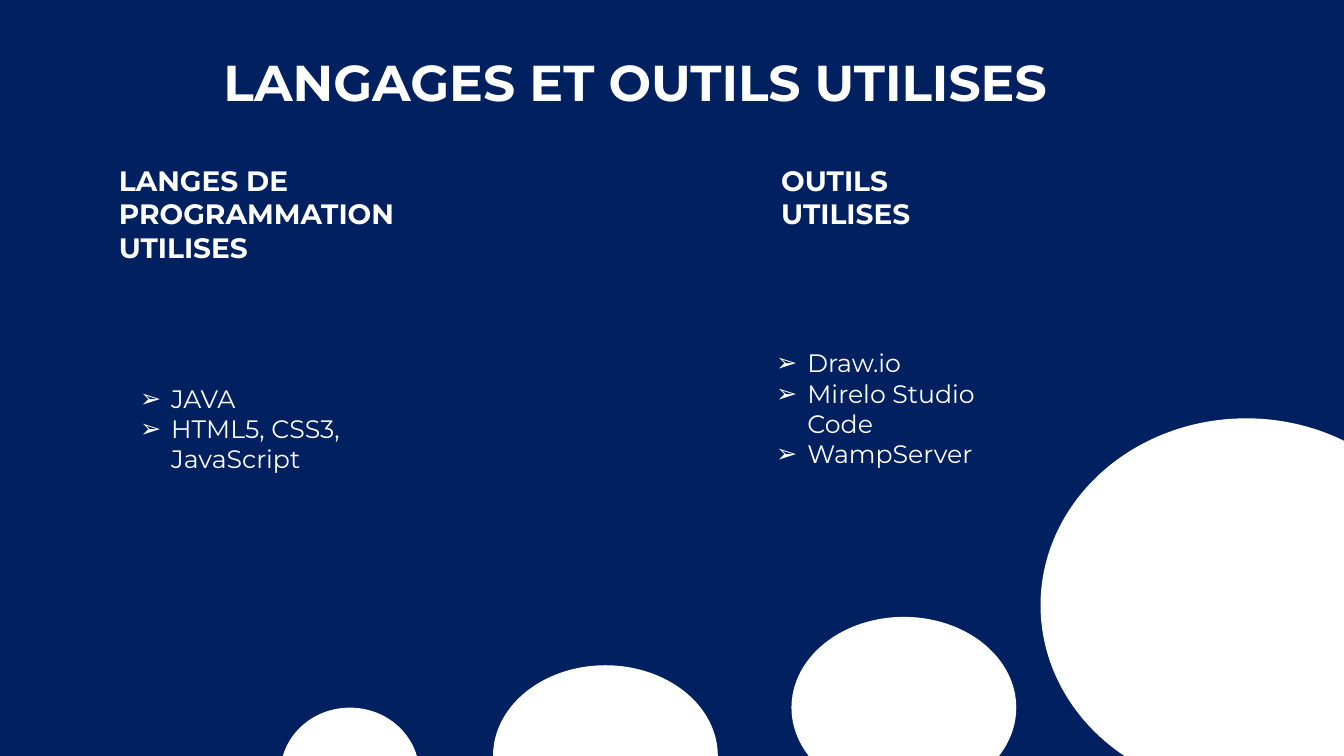
from typing import NamedTuple

from pptx import Presentation
from pptx.dml.color import RGBColor
from pptx.enum.shapes import MSO_SHAPE
from pptx.enum.text import MSO_AUTO_SIZE, PP_ALIGN
from pptx.oxml.ns import qn
from pptx.slide import Slide
from pptx.util import Emu, Pt
from lxml import etree

OVAL = MSO_SHAPE.OVAL
LEFT, CENTER = PP_ALIGN.LEFT, PP_ALIGN.CENTER
GROW = MSO_AUTO_SIZE.SHAPE_TO_FIT_TEXT
SCALE = 9144  # EMU per px, 100 px to the inch
FONT = "Montserrat"
NAVY, WHITE = "002060", "FFFFFF"
INDENT = 31


class Box(NamedTuple):
    left: int
    top: int
    width: int
    height: int


class Column(NamedTuple):
    head: str
    head_box: Box
    items: list[str]
    list_box: Box


BUBBLES = [
    Box(1032, 415, 408, 371),
    Box(785, 612, 223, 180),
    Box(489, 660, 223, 180),
    Box(278, 702, 138, 131),
]
COLUMNS = [
    Column("LANGES DE PROGRAMMATION UTILISES", Box(108, 157, 381, 111),
           ["JAVA", "HTML5, CSS3, JavaScript"], Box(129, 375, 262, 131)),
    Column("OUTILS UTILISES", Box(765, 157, 221, 77),
           ["Draw.io", "Mirelo Studio Code", "WampServer"],
           Box(760, 340, 262, 162)),
]


def px(size: int) -> Emu:
    return Emu(size * SCALE)


def color(code: str) -> RGBColor:
    return RGBColor.from_string(code)


def add_bubble(slide: Slide, box: Box) -> None:
    oval = slide.shapes.add_shape(OVAL, *map(px, box))
    oval.shadow.inherit = False
    oval.fill.solid()
    oval.fill.fore_color.rgb = color(WHITE)
    oval.line.fill.background()


def add_text(slide: Slide, box: Box, lines: list[str], *, size: int,
             bold: bool = False, align: PP_ALIGN = LEFT,
             spacing: float = 1.0, bullet: str = "") -> None:
    frame = slide.shapes.add_textbox(*map(px, box)).text_frame
    frame.word_wrap = True
    frame.auto_size = GROW
    for i, line in enumerate(lines):
        para = frame.paragraphs[0] if i == 0 else frame.add_paragraph()
        para.alignment = align
        para.line_spacing = spacing
        if bullet:
            props = para._p.get_or_add_pPr()
            props.set("marL", str(px(INDENT)))
            props.set("indent", str(-px(INDENT)))
            etree.SubElement(props, qn("a:buFont")).set("typeface", FONT)
            etree.SubElement(props, qn("a:buChar")).set("char", bullet)
        run = para.add_run()
        run.text = line
        run.font.name = FONT
        run.font.size = Pt(size)
        run.font.bold = bold
        run.font.color.rgb = color(WHITE)


def main() -> None:
    deck = Presentation()
    deck.slide_width, deck.slide_height = px(1333), px(750)
    slide = deck.slides.add_slide(deck.slide_layouts[6])
    slide.background.fill.solid()
    slide.background.fill.fore_color.rgb = color(NAVY)

    # Title
    add_text(slide, Box(34, -14, 1206, 114), ["LANGAGES ET OUTILS UTILISES "],
             size=36, bold=True, align=CENTER, spacing=2.0)

    # Rising bubbles
    for box in BUBBLES:
        add_bubble(slide, box)

    # Headed lists
    for col in COLUMNS:
        add_text(slide, col.head_box, [col.head], size=20, bold=True)
        add_text(slide, col.list_box, col.items, size=18, bullet="➢")

    deck.save("out.pptx")


if __name__ == "__main__":
    main()
